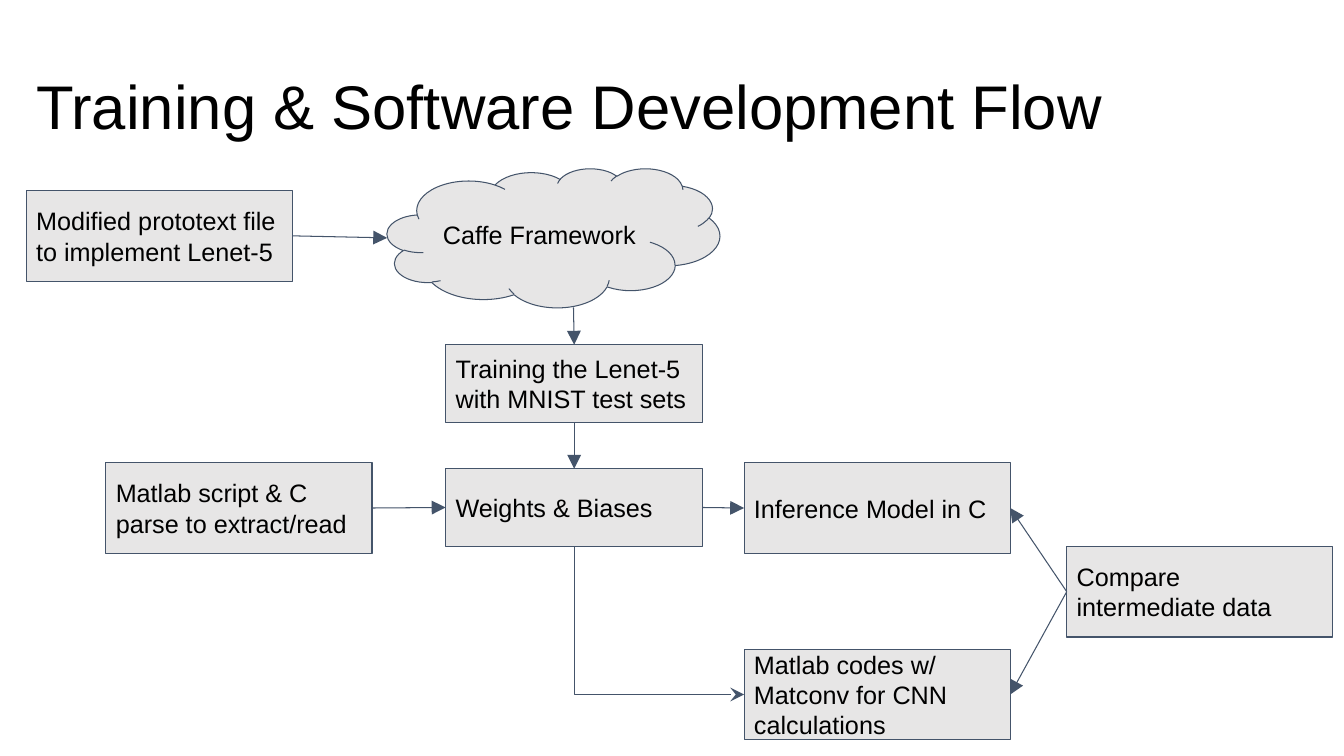
from pptx import Presentation
from pptx.dml.color import RGBColor
from pptx.enum.shapes import MSO_CONNECTOR as CONN, MSO_SHAPE as SHAPE
from pptx.enum.text import MSO_ANCHOR as ANCHOR, PP_ALIGN as ALIGN
from pptx.oxml.ns import qn
from pptx.util import Inches, Pt
from lxml.etree import SubElement

BLACK = RGBColor(0x00, 0x00, 0x00)
GRAY = RGBColor(0xE7, 0xE6, 0xE6)
SLATE = RGBColor(0x44, 0x54, 0x6A)

TOP, LEFT, BOTTOM, RIGHT = (0.5, 0), (0, 0.5), (0.5, 1), (1, 0.5)
WIDE, NARROW = (2.64, 0.9), (2.55, 0.77)


class FlowSlide:
    """Draws the title, nodes and arrows of a flow chart in one style."""

    def __init__(self, prs):
        self.s = prs.slides.add_slide(prs.slide_layouts[6])
        self.font = "Arial"

    def set_text(self, sp, lines, size, margin):
        tf = sp.text_frame
        tf.word_wrap = True
        tf.vertical_anchor = ANCHOR.MIDDLE
        tf.margin_left = tf.margin_right = Inches(0.1)
        tf.margin_top = tf.margin_bottom = Inches(margin)
        tf.text = "\n".join(lines)
        for p in tf.paragraphs:
            p.alignment = ALIGN.LEFT
            p.font.name = self.font
            p.font.size = Pt(size)
            p.font.color.rgb = BLACK
        return tf

    def title(self, text, x, y, w, h):
        sp = self.s.shapes.add_textbox(Inches(x), Inches(y), Inches(w), Inches(h))
        tf = self.set_text(sp, [text], 44, 0.05)
        tf.paragraphs[0].line_spacing = 0.9

    def node(self, x, y, size, *lines, kind=SHAPE.RECTANGLE):
        w, h = size
        sp = self.s.shapes.add_shape(kind, Inches(x), Inches(y), Inches(w), Inches(h))
        sp.shadow.inherit = False
        sp.fill.solid()
        sp.fill.fore_color.rgb = GRAY
        sp.line.color.rgb = SLATE
        sp.line.width = Pt(0.75)
        self.set_text(sp, lines, 18, 0.1)
        return sp

    def port(self, sp, side):
        fx, fy = side
        return int(sp.left + fx * sp.width), int(sp.top + fy * sp.height)

    def connect(self, kind, x1, y1, x2, y2, head):
        cxn = self.s.shapes.add_connector(kind, x1, y1, x2, y2)
        cxn.line.color.rgb = SLATE
        cxn.line.width = Pt(0.75)
        spPr = cxn._element.spPr
        SubElement(spPr.find(qn("a:ln")), qn("a:tailEnd"), type=head, w="lg", len="lg")
        SubElement(spPr, qn("a:effectLst"))
        return spPr

    def arrow(self, a, side_a, b, side_b):
        self.connect(CONN.STRAIGHT, *self.port(a, side_a), *self.port(b, side_b), "triangle")

    def elbow(self, a, b):
        (x1, y1), (x2, y2) = self.port(a, BOTTOM), self.port(b, LEFT)
        cx, cy = (x1 + x2) // 2, (y1 + y2) // 2
        dx, dy = (x2 - x1) // 2, (y2 - y1) // 2
        spPr = self.connect(CONN.ELBOW, cx + dy, cy - dx, cx - dy, cy + dx, "stealth")
        spPr.find(qn("a:xfrm")).set("rot", str(270 * 60000))
        spPr.find(qn("a:prstGeom")).set("prst", "bentConnector2")


def main():
    prs = Presentation()
    prs.slide_width, prs.slide_height = Inches(13.33), Inches(7.5)
    flow = FlowSlide(prs)
    flow.title("Training & Software Development Flow", 0.26, 0.36, 11.5, 1.45)

    prototext = flow.node(0.26, 1.89, WIDE, "Modified prototext file", "to implement Lenet-5")
    caffe = flow.node(3.84, 1.67, (3.3, 1.38), "Caffe Framework", kind=SHAPE.CLOUD)
    training = flow.node(4.42, 3.42, NARROW, "Training the Lenet-5 with MNIST test sets")
    weights = flow.node(4.42, 4.65, NARROW, "Weights & Biases")
    script = flow.node(1.05, 4.59, WIDE, "Matlab script & C parse to extract/read")
    inference = flow.node(7.38, 4.59, WIDE, "Inference Model in C")
    matconv = flow.node(7.38, 6.44, WIDE, "Matlab codes w/ Matconv for CNN calculations")
    compare = flow.node(10.58, 5.42, WIDE, "Compare intermediate data")

    flow.arrow(prototext, RIGHT, caffe, LEFT)
    flow.arrow(caffe, (0.56, 1), training, TOP)
    flow.arrow(training, BOTTOM, weights, TOP)
    flow.arrow(script, RIGHT, weights, LEFT)
    flow.arrow(weights, RIGHT, inference, LEFT)
    flow.elbow(weights, matconv)
    for model in (inference, matconv):
        flow.arrow(compare, LEFT, model, RIGHT)

    prs.save("out.pptx")


if __name__ == "__main__":
    main()
